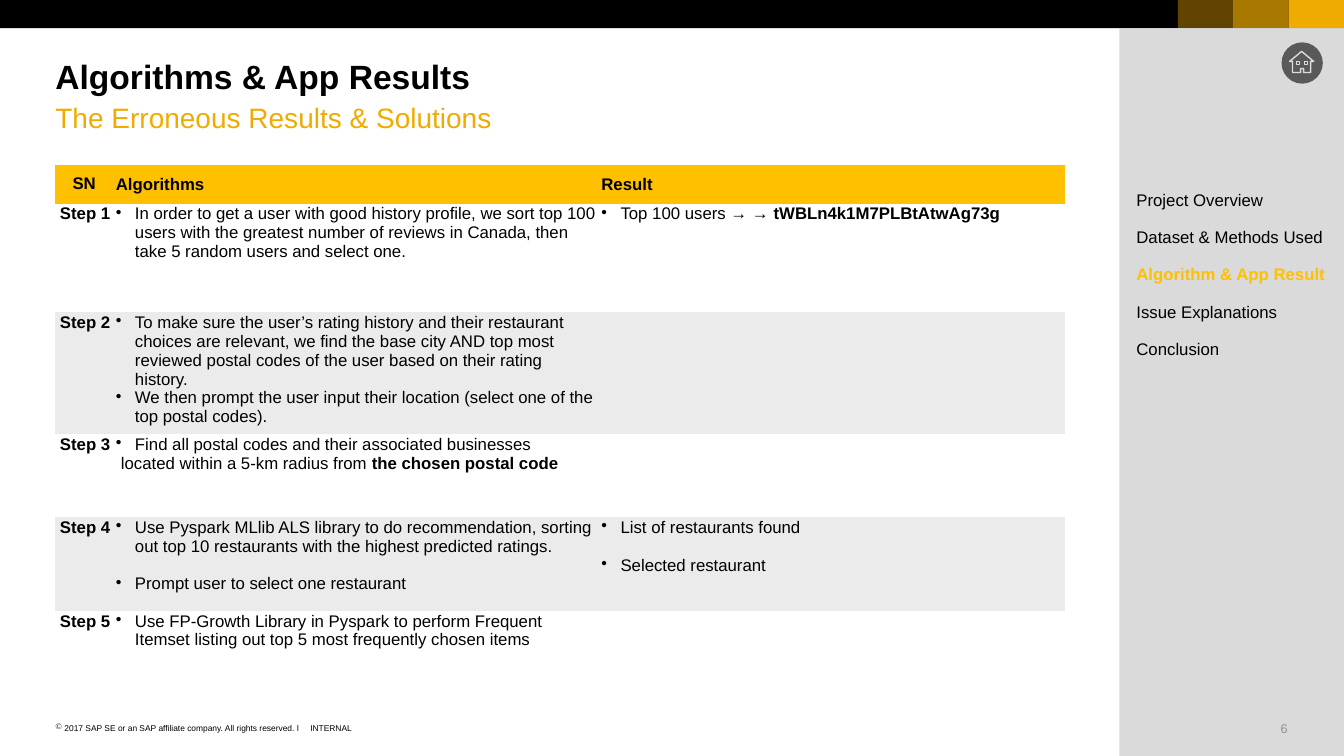
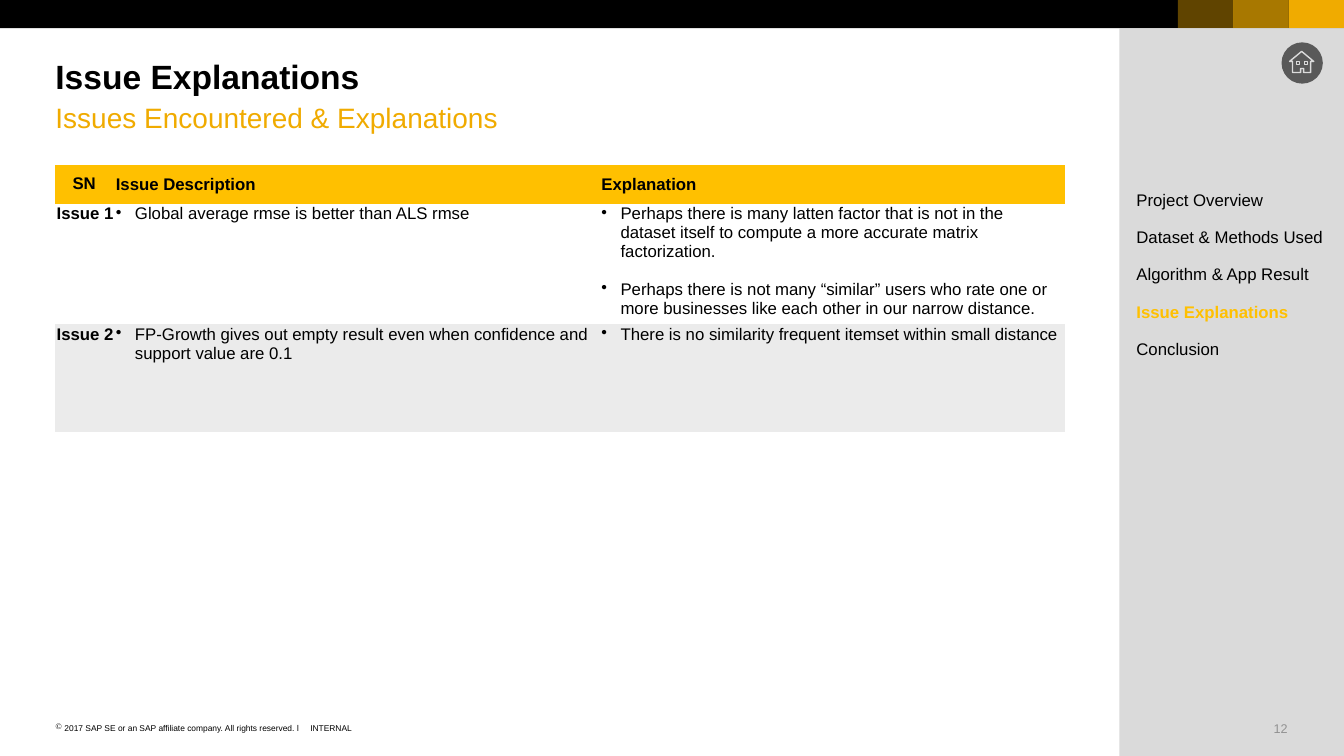
"""Build two project report slides with a sidebar menu and a step table."""
from dataclasses import dataclass

from lxml.etree import SubElement
from pptx import Presentation
from pptx.dml.color import RGBColor
from pptx.enum.shapes import MSO_SHAPE as Preset
from pptx.enum.text import MSO_ANCHOR as Anchor, PP_ALIGN as Align
from pptx.oxml.ns import qn
from pptx.util import Inches, Pt


@dataclass(frozen=True)
class Theme:
    font: str = "Arial"
    black: str = "000000"
    white: str = "FFFFFF"
    gold: str = "F0AB00"
    highlight: str = "FFC000"
    stripe: str = "EBEBEB"
    sidebar: str = "CCCCCC"
    icon: str = "595959"
    icon_line: str = "DBDBDB"
    title: float = 24
    subtitle: float = 20
    body: float = 12
    number: float = 9
    footer: float = 6


@dataclass(frozen=True)
class Line:
    text: str
    bold_tail: str = ""
    bullet: str = "•"
    indent: float = 0.19
    space_before: float = 0


@dataclass(frozen=True)
class Row:
    label: str
    height: float
    left: tuple[Line, ...]
    right: tuple[Line, ...] = ()


@dataclass(frozen=True)
class Page:
    title: str
    subtitle: str
    number: str
    current: str
    headings: tuple[str, str, str]
    rows: tuple[Row, ...]


THEME = Theme()
WIDTH, HEIGHT, BAND = 13.34, 7.5, 0.28
LEFT, TABLE_TOP, HEADER_HEIGHT = 0.55, 1.64, 0.36
COLUMNS = (0.59, 4.82, 4.61)
GAP = 13.5
PLAIN_TABLE = "{2D5ABB26-0587-4C30-8999-92F81FD0307C}"
MENU = (
    "Project Overview",
    "Dataset & Methods Used",
    "Algorithm & App Result",
    "Issue Explanations",
    "Conclusion",
)
HOUSE = (
    (1280, 61), (1292, 51), (1304, 61), (1301, 61), (1301, 72), (1294, 72),
    (1294, 68), (1291, 68), (1291, 72), (1283, 72), (1283, 61),
)

PAGES = (
    Page(
        "Algorithms & App Results", "The Erroneous Results & Solutions", "6",
        "Algorithm & App Result", ("SN", "Algorithms", "Result"),
        (
            Row("Step 1", 1.08,
                (Line("In order to get a user with good history profile, we sort top 100 "
                      "users with the greatest number of reviews in Canada, then take 5 "
                      "random users and select one."),),
                (Line("Top 100 users → → ", "tWBLn4k1M7PLBtAtwAg73g"),)),
            Row("Step 2", 1.13,
                (Line("To make sure the user’s rating history and their restaurant choices "
                      "are relevant, we find the base city AND top most reviewed postal "
                      "codes of the user based on their rating history."),
                 Line("We then prompt the user input their location (select one of the "
                      "top postal codes)."))),
            Row("Step 3", 0.82,
                (Line("Find all postal codes and their associated businesses"),
                 Line("located within a 5-km radius from ", "the chosen postal code",
                      bullet="", indent=0.05))),
            Row("Step 4", 0.93,
                (Line("Use Pyspark MLlib ALS library to do recommendation, sorting out "
                      "top 10 restaurants with the highest predicted ratings."),
                 Line("Prompt user to select one restaurant", space_before=GAP)),
                (Line("List of restaurants found"),
                 Line("Selected restaurant", space_before=GAP))),
            Row("Step 5", 1.03,
                (Line("Use FP-Growth Library in Pyspark to perform Frequent Itemset "
                      "listing out top 5 most frequently chosen items"),)),
        ),
    ),
    Page(
        "Issue Explanations", "Issues Encountered & Explanations", "12",
        "Issue Explanations", ("SN", "Issue Description", "Explanation"),
        (
            Row("Issue 1", 1.08,
                (Line("Global average rmse is better than ALS rmse"),),
                (Line("Perhaps there is many latten factor that is not in the dataset "
                      "itself to compute a more accurate matrix factorization."),
                 Line("Perhaps there is not many “similar” users who rate one or more "
                      "businesses like each other in our narrow distance.",
                      space_before=GAP))),
            Row("Issue 2", 1.07,
                (Line("FP-Growth gives out empty result even when confidence and support "
                      "value are 0.1"),),
                (Line("There is no similarity frequent itemset within small distance"),)),
        ),
    ),
)


def rgb(color: str) -> RGBColor:
    return RGBColor.from_string(color)


def plain(text: str) -> tuple[Line, ...]:
    return (Line(text, bullet="", indent=0),)


def write_text(frame, lines: tuple[Line, ...], *, size: float = THEME.body,
               color: str = THEME.black, bold: bool = False, align=Align.LEFT) -> None:
    for index, line in enumerate(lines):
        paragraph = frame.add_paragraph() if index else frame.paragraphs[0]
        properties = paragraph._p.get_or_add_pPr()
        properties.set("marL", str(Inches(line.indent)))
        properties.set("indent", str(-Inches(line.indent) if line.bullet else 0))
        if line.bullet:
            SubElement(properties, qn("a:buChar"), char=line.bullet)
        else:
            SubElement(properties, qn("a:buNone"))
        paragraph.alignment = align
        if line.space_before:
            paragraph.space_before = Pt(line.space_before)
        for text, heavy in ((line.text, bold), (line.bold_tail, True)):
            if text:
                run = paragraph.add_run()
                run.text = text
                run.font.name = THEME.font
                run.font.size = Pt(size)
                run.font.bold = heavy
                run.font.color.rgb = rgb(color)


def add_text(slide, lines: tuple[Line, ...], left: float, top: float, width: float,
             height: float, *, wrap: bool = True, **text_format) -> None:
    frame = slide.shapes.add_textbox(
        Inches(left), Inches(top), Inches(width), Inches(height)).text_frame
    frame.margin_left = frame.margin_right = frame.margin_top = frame.margin_bottom = 0
    frame.word_wrap = wrap
    write_text(frame, lines, **text_format)


def add_block(slide, left: float, top: float, width: float, height: float, color: str,
              opacity: int = 100, preset=Preset.RECTANGLE) -> None:
    shape = slide.shapes.add_shape(
        preset, Inches(left), Inches(top), Inches(width), Inches(height))
    shape.shadow.inherit = False
    shape.line.fill.background()
    shape.fill.solid()
    shape.fill.fore_color.rgb = rgb(color)
    if opacity < 100:
        fill = shape._element.spPr.find(qn("a:solidFill"))
        SubElement(fill[0], qn("a:alpha"), val=str(opacity * 1000))


def outline(shape) -> None:
    shape.shadow.inherit = False
    shape.fill.background()
    shape.line.color.rgb = rgb(THEME.icon_line)
    shape.line.width = Pt(1)


def add_home_icon(slide) -> None:
    add_block(slide, 12.72, 0.42, 0.41, 0.41, THEME.icon, preset=Preset.OVAL)
    builder = slide.shapes.build_freeform(*HOUSE[0], scale=Inches(0.01))
    builder.add_line_segments(HOUSE[1:], close=True)
    outline(builder.convert_to_shape())
    for left in (12.87, 12.95):
        outline(slide.shapes.add_shape(
            Preset.RECTANGLE, Inches(left), Inches(0.61), Inches(0.03), Inches(0.03)))


def add_frame(slide, page: Page) -> None:
    add_text(slide, plain(page.number), 12.63, 7.15, 0.15, 0.15, wrap=False,
             size=THEME.number, align=Align.RIGHT)
    add_text(slide, plain("INTERNAL"), 3.08, 7.17, 0.42, 0.1, wrap=False,
             size=THEME.footer)
    copyright_line = Line("2017 SAP SE or an SAP affiliate company. All rights reserved. ǀ",
                          bullet="©", indent=0.09)
    add_text(slide, (copyright_line,), LEFT, 7.17, 2.48, 0.1, size=THEME.footer)
    add_block(slide, 0, 0, WIDTH, BAND, THEME.black)
    for position, opacity in enumerate((100, 70, 40), start=1):
        add_block(slide, WIDTH - 0.55 * position, 0, 0.55, BAND, THEME.gold, opacity)
    add_block(slide, 11.11, BAND, WIDTH - 11.11, HEIGHT - BAND, THEME.sidebar, 71)
    add_home_icon(slide)
    add_text(slide, plain(page.title), LEFT, 0.55, 7.76, 0.4, size=THEME.title, bold=True)
    add_text(slide, plain(page.subtitle), LEFT, 1, 10.02, 0.4, size=THEME.subtitle,
             color=THEME.gold)
    for index, entry in enumerate(MENU):
        active = entry == page.current
        add_text(slide, plain(entry), 11.28, 1.88 + 0.37 * index, 1.93, 0.2, bold=active,
                 color=THEME.highlight if active else THEME.black)


def fill_cell(cell, lines: tuple[Line, ...], color: str, *, side: float = 0.01,
              top: float = 0.01, bottom: float = 0, anchor=Anchor.TOP,
              **text_format) -> None:
    cell.fill.solid()
    cell.fill.fore_color.rgb = rgb(color)
    cell.margin_left = cell.margin_right = Inches(side)
    cell.margin_top, cell.margin_bottom = Inches(top), Inches(bottom)
    cell.vertical_anchor = anchor
    write_text(cell.text_frame, lines, **text_format)


def add_step_table(slide, page: Page) -> None:
    heights = (HEADER_HEIGHT, *(row.height for row in page.rows))
    table = slide.shapes.add_table(
        len(heights), len(COLUMNS), Inches(LEFT), Inches(TABLE_TOP),
        Inches(sum(COLUMNS)), Inches(sum(heights))).table
    table._tbl.tblPr.find(qn("a:tableStyleId")).text = PLAIN_TABLE
    table.horz_banding = False
    for column, width in zip(table.columns, COLUMNS):
        column.width = Inches(width)
    for table_row, height in zip(table.rows, heights):
        table_row.height = Inches(height)
    for index, heading in enumerate(page.headings):
        layout = {"anchor": Anchor.MIDDLE} if index else {
            "side": 0.17, "top": 0.09, "bottom": 0.09}
        fill_cell(table.cell(0, index), plain(heading), THEME.highlight, bold=True, **layout)
    for index, row in enumerate(page.rows, start=1):
        color = THEME.white if index % 2 else THEME.stripe
        fill_cell(table.cell(index, 0), plain(row.label), color, bold=True,
                  align=Align.CENTER)
        fill_cell(table.cell(index, 1), row.left, color)
        fill_cell(table.cell(index, 2), row.right, color)


def main() -> None:
    presentation = Presentation()
    presentation.slide_width, presentation.slide_height = Inches(WIDTH), Inches(HEIGHT)
    for page in PAGES:
        slide = presentation.slides.add_slide(presentation.slide_layouts[6])
        add_frame(slide, page)
        add_step_table(slide, page)
    presentation.save("out.pptx")


if __name__ == "__main__":
    main()
